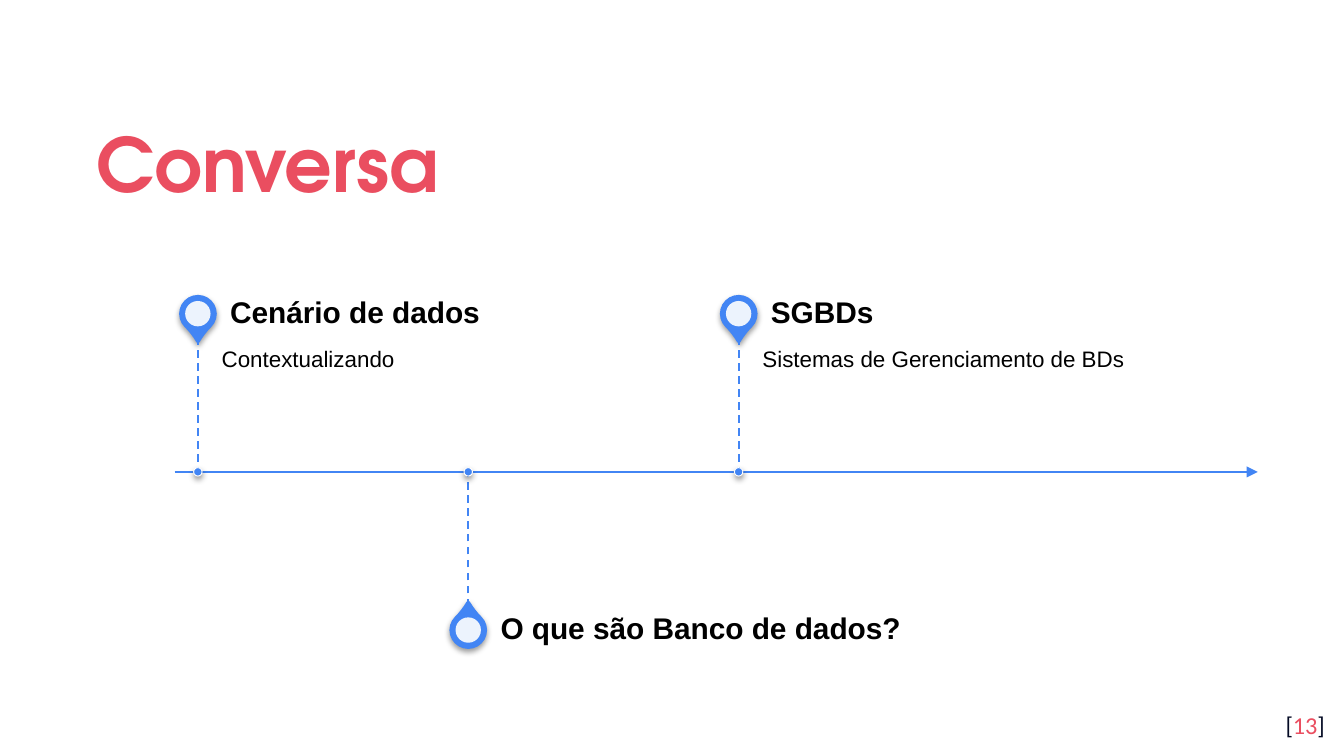
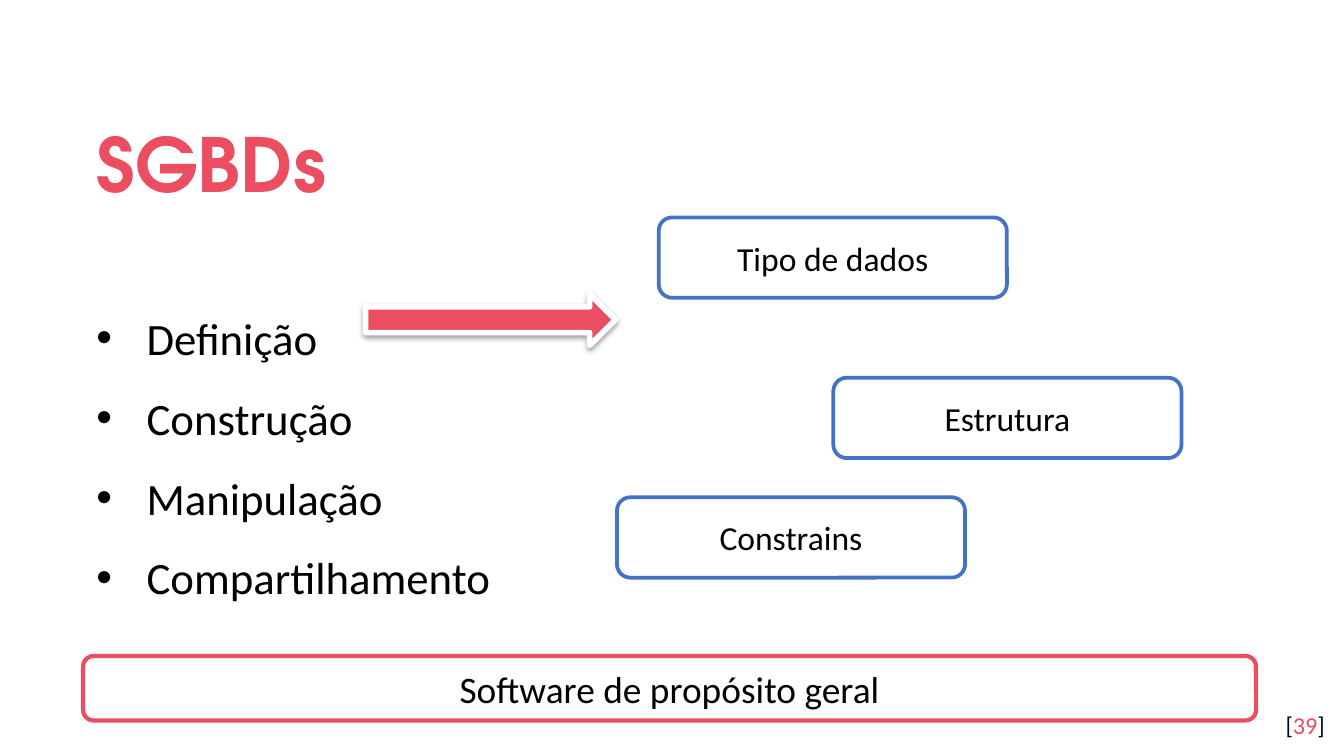
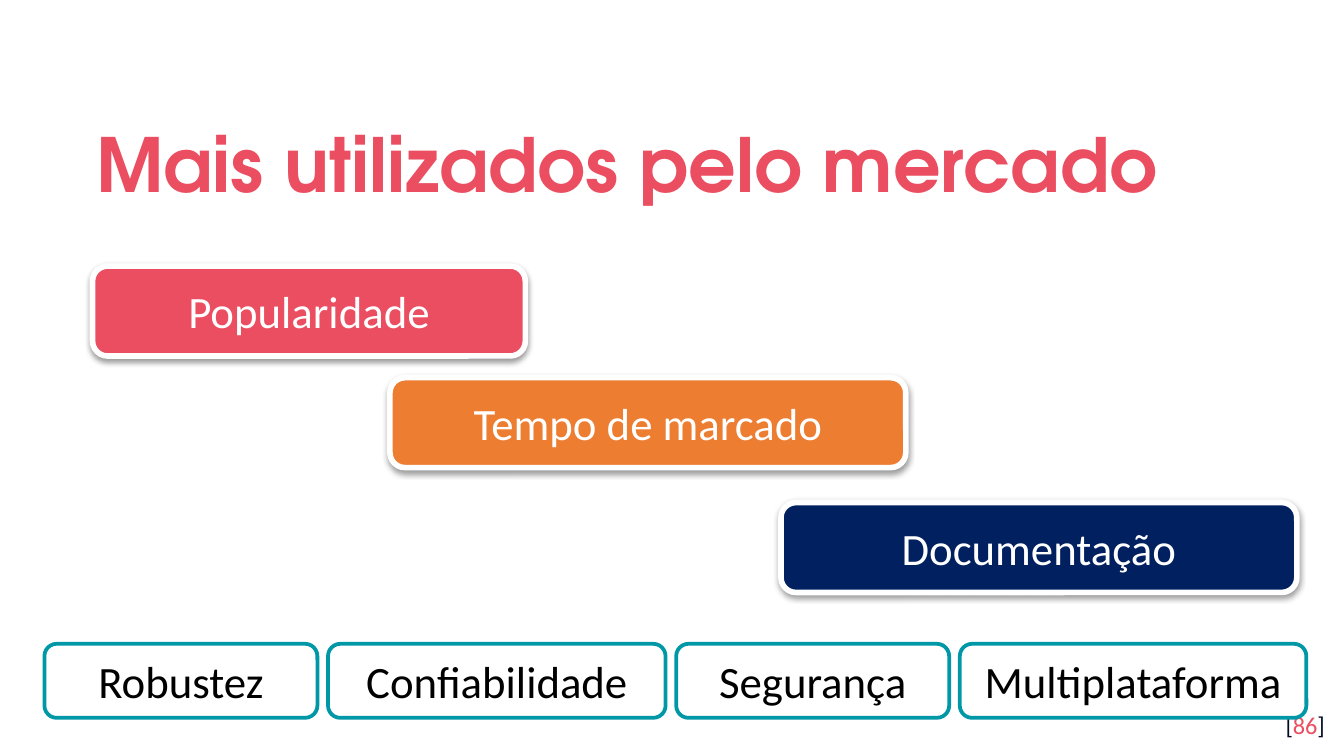
from lxml.etree import SubElement
from pptx import Presentation
from pptx.dml.color import RGBColor
from pptx.enum.dml import MSO_LINE
from pptx.enum.shapes import MSO_CONNECTOR, MSO_SHAPE
from pptx.enum.text import MSO_ANCHOR, MSO_AUTO_SIZE, PP_ALIGN
from pptx.oxml.ns import qn
from pptx.util import Cm, Pt

RED, NAVY, BLUE = "EA4E60", "002060", "4285F4"
STEEL, TEAL, ORANGE = "4472C4", "0097A7", "ED7D31"
INK, BLACK, WHITE = "040A24", "000000", "FFFFFF"
SANS, PLAIN, HEAD = "Calibri", "Arial", "TeX Gyre Adventor"
PAD = (0.25,) * 4

STOPS = [
    ("Cenário de dados", "Contextualizando", -1),
    ("O que são Banco de dados?", None, 1),
    ("SGBDs", "Sistemas de Gerenciamento de BDs", -1),
]
AXIS_Y, AXIS_ENDS = 8.92, (3.3, 23.77)
STOP_X, STOP_GAP, STEM, RISE = 3.74, 5.11, 2.54, 2.99

TASKS = ["Definição", "Construção", "Manipulação", "Compartilhamento"]
PARTS = [
    ("Tipo de dados", 12.45, 4.11),
    ("Estrutura", 15.75, 7.14),
    ("Constrains", 11.66, 9.4),
]
CLAIM = "Software de propósito geral"

STEPS = [
    ("Popularidade", 1.75, 5.03, 8.18, RED),
    ("Tempo de marcado", 7.37, 7.14, 9.75, ORANGE),
    ("Documentação", 14.76, 9.5, 9.75, NAVY),
]
TAGS = [
    ("Robustez", 5.16),
    ("Confiabilidade", 6.38),
    ("Segurança", 5.16),
    ("Multiplataforma", 6.55),
]
TAG_X, TAG_GAP = 0.84, 0.2


def tint(code):
    return RGBColor.from_string(code)


def ink(font, size, color, name=SANS, bold=False):
    font.size, font.name, font.bold = Pt(size), name, bold
    font.color.rgb = tint(color)


def place(shape, x, y, w, h):
    shape.left, shape.top, shape.width, shape.height = map(Cm, (x, y, w, h))


def frame(shape, pad, mid=True):
    text = shape.text_frame
    text.word_wrap, text.auto_size = True, MSO_AUTO_SIZE.NONE
    text.vertical_anchor = MSO_ANCHOR.MIDDLE if mid else MSO_ANCHOR.TOP
    (text.margin_left, text.margin_top,
     text.margin_right, text.margin_bottom) = map(Cm, pad)
    return text


def label(slide, text, spot, pad, size, mid=True, bold=False):
    box = frame(slide.shapes.add_textbox(*map(Cm, spot)), pad, mid)
    box.text = text
    para = box.paragraphs[0]
    para.line_spacing = 0.9
    ink(para.runs[0].font, size, BLACK, PLAIN, bold)


def block(slide, kind, spot, fill, edge=None, width=1, shade=False):
    shape = slide.shapes.add_shape(kind, *map(Cm, spot))
    shape.fill.solid()
    shape.fill.fore_color.rgb = tint(fill)
    if edge:
        shape.line.color.rgb = tint(edge)
        shape.line.width = Pt(width)
    else:
        shape.line.fill.background()
    shape.shadow.inherit = False
    if shade:
        glow = SubElement(
            shape.element.spPr.find(qn("a:effectLst")), qn("a:outerShdw"),
            blurRad=str(Pt(3.1)), dist=str(Pt(1.6)), dir="5400000", rotWithShape="0")
        color = SubElement(glow, qn("a:srgbClr"), val=BLACK)
        SubElement(color, qn("a:alpha"), val="38000")
    return shape


def card(slide, text, spot, size, fill, edge, width, color=BLACK, shade=False):
    shape = block(slide, MSO_SHAPE.ROUNDED_RECTANGLE, spot, fill, edge, width, shade)
    box = frame(shape, (0.25, 0.13, 0.25, 0.13))
    box.text = text
    box.paragraphs[0].alignment = PP_ALIGN.CENTER
    ink(box.paragraphs[0].runs[0].font, size, color)


def rule(slide, start, end, width, dash=False, head=False):
    line = slide.shapes.add_connector(MSO_CONNECTOR.STRAIGHT, *map(Cm, start + end))
    line.line.color.rgb = tint(BLUE)
    line.line.width = Pt(width)
    if dash:
        line.line.dash_style = MSO_LINE.DASH
    if head:
        SubElement(line.line._get_or_add_ln(), qn("a:tailEnd"), type="triangle")
    SubElement(line.element.spPr, qn("a:effectLst"))


def start(deck, title, page, form=5):
    slide = deck.slides.add_slide(deck.slide_layouts[form])
    place(slide.shapes.title, 1.57, 1.78, 22.28, 2.34)
    text = frame(slide.shapes.title, PAD)
    text.text = title
    para = text.paragraphs[0]
    para.alignment, para.line_spacing = PP_ALIGN.LEFT, 1.15
    ink(para.runs[0].font, 40, RED, HEAD, True)
    box = slide.shapes.add_textbox(*map(Cm, (23.77, 13.18, 1.52, 1.09)))
    para = frame(box, PAD, False).paragraphs[0]
    para.alignment = PP_ALIGN.RIGHT
    for part, color in (("[", INK), (str(page), RED), ("]", INK)):
        run = para.add_run()
        run.text = part
        ink(run.font, 13, color)
    return slide


def disc(slide, x, y, size, *style):
    spot = (x - size / 2, y - size / 2, size, size)
    return block(slide, MSO_SHAPE.OVAL, spot, *style)


def stop(slide, x, name, note, side):
    y, tip = AXIS_Y + side * RISE, AXIS_Y + side * STEM
    pin = block(slide, MSO_SHAPE.TEAR, (x - 0.32, y - 0.32, 0.64, 0.64),
                BLUE, BLUE, 2, True)
    pin.adjustments[0] = 1.15
    pin.rotation = 135 if side < 0 else 315
    hole = disc(slide, x, y, 0.48, WHITE)
    color = hole.element.spPr.find(".//" + qn("a:srgbClr"))
    SubElement(color, qn("a:alpha"), val="90000")
    if note:
        label(slide, note, (x + 0.45, tip, 8.51, STEM), (0, 0.2, 0.2, 0.3), 12, False)
    label(slide, name, (x + 0.45, y - 0.45, 8.51, 0.9), (0.16, 0, 0.28, 0), 16, bold=True)
    rule(slide, (x, tip), (x, AXIS_Y), 1, dash=True)
    disc(slide, x, AXIS_Y, 0.16, BLUE, WHITE, 0.5, True)


def talk(deck):
    slide = start(deck, "Conversa", 13)
    left, right = AXIS_ENDS
    rule(slide, (left, AXIS_Y), (right, AXIS_Y), 1.5, head=True)
    for i, item in enumerate(STOPS):
        stop(slide, STOP_X + i * STOP_GAP, *item)


def bullet(para):
    props = para._p.get_or_add_pPr()
    props.set("marL", str(Cm(0.95)))
    props.set("indent", str(-Cm(0.95)))
    SubElement(SubElement(props, qn("a:buClr")), qn("a:srgbClr"), val=BLACK)
    SubElement(props, qn("a:buFont"), typeface=PLAIN)
    SubElement(props, qn("a:buChar"), char="•")


def tasks(deck):
    slide = start(deck, "SGBDs", 39, 1)
    body = slide.placeholders[1]
    place(body, 1.57, 4.29, 22.28, 8.56)
    text = frame(body, PAD)
    text.text = "\n".join(TASKS)
    for i, para in enumerate(text.paragraphs):
        bullet(para)
        para.line_spacing = 1.14
        para.space_before = Pt(10 if i else 0)
        ink(para.runs[0].font, 24, BLACK)
    card(slide, CLAIM, (1.57, 12.4, 22.17, 1.22), 20, WHITE, RED, 2.25)
    block(slide, MSO_SHAPE.RIGHT_ARROW, (6.91, 5.56, 4.72, 0.97), RED, WHITE, 3, True)
    for name, x, y in PARTS:
        card(slide, name, (x, y, 6.58, 1.52), 18, WHITE, STEEL, 2)


def market(deck):
    slide = start(deck, "Mais utilizados pelo mercado", 86)
    for name, x, y, w, fill in STEPS:
        card(slide, name, (x, y, w, 1.7), 24, fill, WHITE, 3, WHITE, True)
    x = TAG_X
    for name, w in TAGS:
        card(slide, name, (x, 12.17, w, 1.4), 24, WHITE, TEAL, 2)
        x += w + TAG_GAP


def main():
    """Build the three slides and save the deck."""
    deck = Presentation()
    deck.slide_width, deck.slide_height = Cm(25.4), Cm(14.29)
    for build in (talk, tasks, market):
        build(deck)
    deck.save("out.pptx")


if __name__ == "__main__":
    main()
